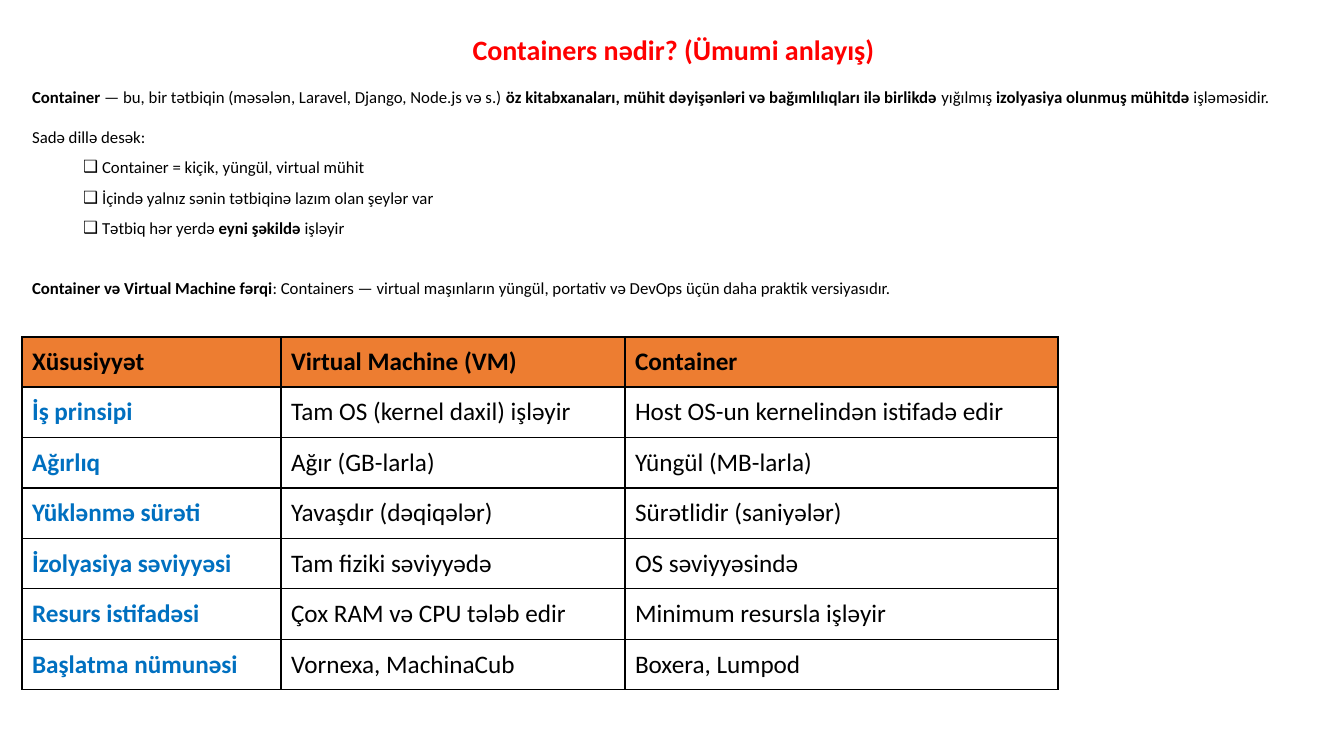
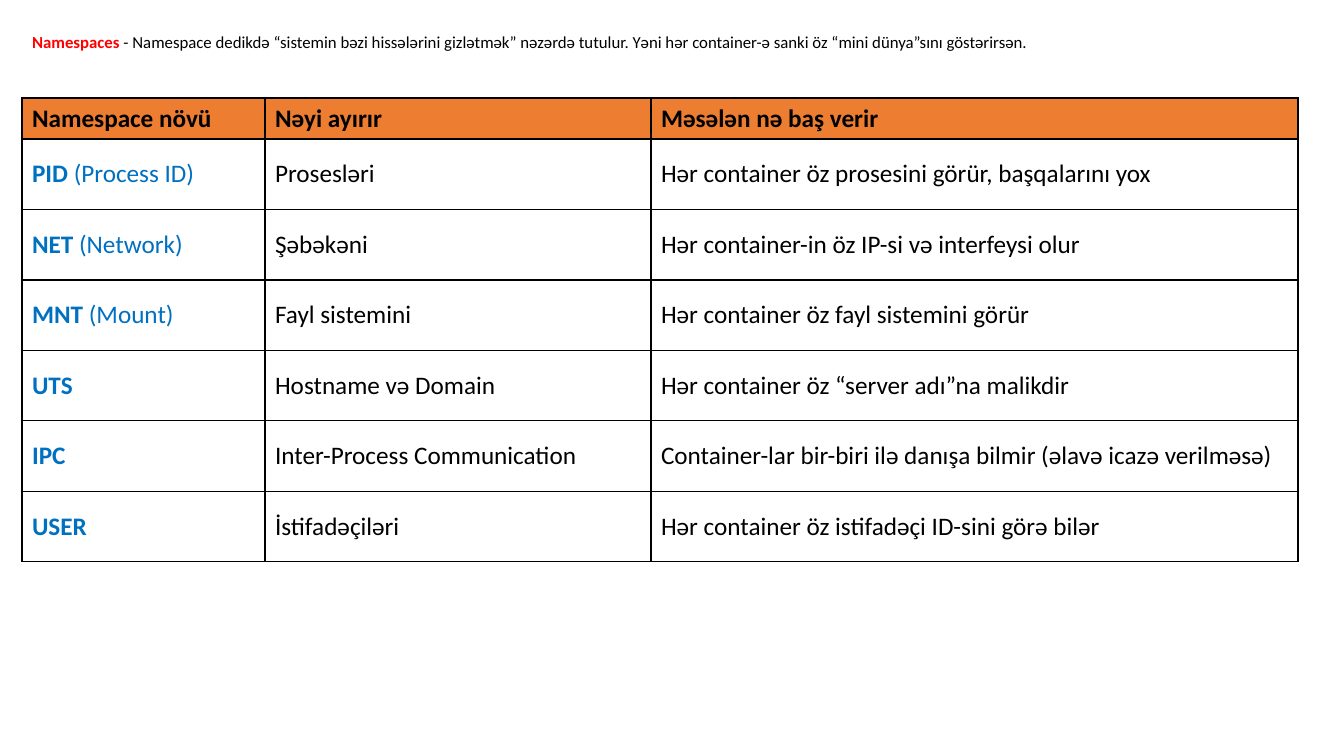
"""Build two slides that introduce containers and Linux namespaces."""
from dataclasses import dataclass
from typing import Optional

from lxml import etree
from pptx import Presentation
from pptx.dml.color import RGBColor
from pptx.enum.text import MSO_ANCHOR, MSO_AUTO_SIZE, PP_ALIGN
from pptx.oxml.ns import qn
from pptx.util import Emu, Pt

LEFT, CENTER = PP_ALIGN.LEFT, PP_ALIGN.CENTER
TOP, MIDDLE = MSO_ANCHOR.TOP, MSO_ANCHOR.MIDDLE
NO_AUTOFIT = MSO_AUTO_SIZE.NONE
SLIDE_WIDTH, SLIDE_HEIGHT = 1344, 756
EMU_PER_PX = 12192000 / SLIDE_WIDTH
TITLE_AND_CONTENT, TITLE_ONLY = 1, 5
MARGIN, TEXT_TOP, TEXT_WIDTH = 22, 27, 1303
BULLET_MARGIN, BULLET_HANGING = 70, 19


@dataclass(frozen=True)
class Theme:
    font: str = "Calibri"
    ink: str = "000000"
    paper: str = "FFFFFF"
    title: str = "FF0000"
    header: str = "ED7D31"
    label: str = "0070C0"
    title_size: int = 20
    body_size: int = 12
    table_size: int = 18
    border_width: int = 1


@dataclass(frozen=True)
class Line:
    text: str
    bullet: bool = False
    space_before: float = 0


@dataclass(frozen=True)
class TableSpec:
    top: int
    height: int
    header_height: int
    columns: tuple[int, ...]
    rows: tuple[tuple[str, ...], ...]


THEME = Theme()

CONTAINER_LINES = (
    Line("*Container* — bu, bir tətbiqin (məsələn, Laravel, Django, Node.js və s.) "
         "*öz kitabxanaları, mühit dəyişənləri və bağımlılıqları ilə birlikdə* yığılmış "
         "*izolyasiya olunmuş mühitdə* işləməsidir."),
    Line("Sadə dillə desək:", space_before=14),
    Line("Container = kiçik, yüngül, virtual mühit", bullet=True),
    Line("İçində yalnız sənin tətbiqinə lazım olan şeylər var", bullet=True),
    Line("Tətbiq hər yerdə *eyni şəkildə* işləyir", bullet=True),
    Line("*Container və Virtual Machine fərqi*: Containers — virtual maşınların yüngül, "
         "portativ və DevOps üçün daha praktik versiyasıdır.", space_before=28.5),
)

COMPARISON = TableSpec(337, 353, 50, (259, 344, 433), (
    ("Xüsusiyyət", "Virtual Machine (VM)", "Container"),
    ("*İş prinsipi*", "Tam OS (kernel daxil) işləyir", "Host OS-un kernelindən istifadə edir"),
    ("*Ağırlıq*", "Ağır (GB-larla)", "Yüngül (MB-larla)"),
    ("*Yüklənmə sürəti*", "Yavaşdır (dəqiqələr)", "Sürətlidir (saniyələr)"),
    ("*İzolyasiya səviyyəsi*", "Tam fiziki səviyyədə", "OS səviyyəsində"),
    ("*Resurs istifadəsi*", "Çox RAM və CPU tələb edir", "Minimum resursla işləyir"),
    ("*Başlatma nümunəsi*", "Vornexa, MachinaCub", "Boxera, Lumpod"),
))

NAMESPACES_TEXT = (
    "*Namespaces* - Namespace dedikdə “sistemin bəzi hissələrini gizlətmək” nəzərdə tutulur. "
    "Yəni hər container-ə sanki öz “mini dünya”sını göstərirsən."
)

NAMESPACES = TableSpec(98, 464, 41, (243, 386, 647), (
    ("Namespace növü", "Nəyi ayırır", "Məsələn nə baş verir"),
    ("*PID* (Process ID)", "Prosesləri", "Hər container öz prosesini görür, başqalarını yox"),
    ("*NET* (Network)", "Şəbəkəni", "Hər container-in öz IP-si və interfeysi olur"),
    ("*MNT* (Mount)", "Fayl sistemini", "Hər container öz fayl sistemini görür"),
    ("*UTS*", "Hostname və Domain", "Hər container öz “server adı”na malikdir"),
    ("*IPC*", "Inter-Process Communication",
     "Container-lar bir-biri ilə danışa bilmir (əlavə icazə verilməsə)"),
    ("*USER*", "İstifadəçiləri", "Hər container öz istifadəçi ID-sini görə bilər"),
))


def px(length: float) -> Emu:
    return Emu(round(length * EMU_PER_PX))


def write(paragraph, text: str, size: int, color: str, bold: bool = False,
          accent: Optional[str] = None) -> None:
    font = paragraph.font
    font.name, font.size, font.bold = THEME.font, Pt(size), bold
    font.color.rgb = RGBColor.from_string(color)
    for index, piece in enumerate(text.split("*")):
        if not piece:
            continue
        run = paragraph.add_run()
        run.text = piece
        if index % 2:
            run.font.bold = True
            if accent:
                run.font.color.rgb = RGBColor.from_string(accent)


def place(shape, top: int, height: int):
    shape.left, shape.top = px(MARGIN), px(top)
    shape.width, shape.height = px(TEXT_WIDTH), px(height)
    frame = shape.text_frame
    frame.word_wrap, frame.auto_size, frame.vertical_anchor = True, NO_AUTOFIT, TOP
    return frame


def set_bullet(paragraph, bullet: bool) -> None:
    properties = paragraph._p.get_or_add_pPr()
    properties.set("marL", str(px(BULLET_MARGIN) if bullet else 0))
    properties.set("indent", str(-px(BULLET_HANGING) if bullet else 0))
    if bullet:
        etree.SubElement(properties, qn("a:buChar")).set("char", "❑")
    else:
        etree.SubElement(properties, qn("a:buNone"))


def add_lines(shape, top: int, height: int, lines: tuple[Line, ...]) -> None:
    frame = place(shape, top, height)
    for index, line in enumerate(lines):
        paragraph = frame.add_paragraph() if index else frame.paragraphs[0]
        set_bullet(paragraph, line.bullet)
        paragraph.level = int(line.bullet)
        paragraph.alignment = LEFT
        paragraph.line_spacing = 1.5 if line.bullet else 1.0
        paragraph.space_before, paragraph.space_after = Pt(line.space_before), Pt(0)
        write(paragraph, line.text, THEME.body_size, THEME.ink)


def add_borders(cell) -> None:
    properties = cell._tc.get_or_add_tcPr()
    for index, side in enumerate(("lnL", "lnR", "lnT", "lnB")):
        border = etree.Element(qn(f"a:{side}"), w=str(Pt(THEME.border_width)))
        fill = etree.SubElement(border, qn("a:solidFill"))
        etree.SubElement(fill, qn("a:srgbClr"), val=THEME.ink)
        properties.insert(index, border)


def add_table(slide, spec: TableSpec) -> None:
    shape = slide.shapes.add_table(len(spec.rows), len(spec.columns), px(MARGIN), px(spec.top),
                                   px(sum(spec.columns)), px(spec.height))
    table = shape.table
    table.horz_banding = False
    for column, width in zip(table.columns, spec.columns):
        column.width = px(width)
    body_height = (spec.height - spec.header_height) / (len(spec.rows) - 1)
    for row_index, texts in enumerate(spec.rows):
        is_header = row_index == 0
        table.rows[row_index].height = px(spec.header_height if is_header else body_height)
        for column_index, text in enumerate(texts):
            cell = table.cell(row_index, column_index)
            cell.vertical_anchor = MIDDLE
            cell.fill.solid()
            cell.fill.fore_color.rgb = RGBColor.from_string(
                THEME.header if is_header else THEME.paper)
            add_borders(cell)
            is_label = column_index == 0 and not is_header
            write(cell.text_frame.paragraphs[0], text, THEME.table_size,
                  THEME.label if is_label else THEME.ink, bold=is_header)


def add_title(slide, text: str, height: int, size: int, color: str, alignment,
              bold: bool = False, accent: Optional[str] = None) -> None:
    paragraph = place(slide.shapes.title, TEXT_TOP, height).paragraphs[0]
    paragraph.alignment = alignment
    write(paragraph, text, size, color, bold, accent)


def main() -> None:
    presentation = Presentation()
    presentation.slide_width, presentation.slide_height = px(SLIDE_WIDTH), px(SLIDE_HEIGHT)
    layouts = presentation.slide_layouts

    containers = presentation.slides.add_slide(layouts[TITLE_AND_CONTENT])
    add_title(containers, "Containers nədir? (Ümumi anlayış)", 45, THEME.title_size,
              THEME.title, CENTER, bold=True)
    add_lines(containers.placeholders[1], 82, 224, CONTAINER_LINES)
    add_table(containers, COMPARISON)

    namespaces = presentation.slides.add_slide(layouts[TITLE_ONLY])
    add_title(namespaces, NAMESPACES_TEXT, 71, THEME.body_size, THEME.ink, LEFT,
              accent=THEME.title)
    add_table(namespaces, NAMESPACES)

    presentation.save("out.pptx")


if __name__ == "__main__":
    main()
